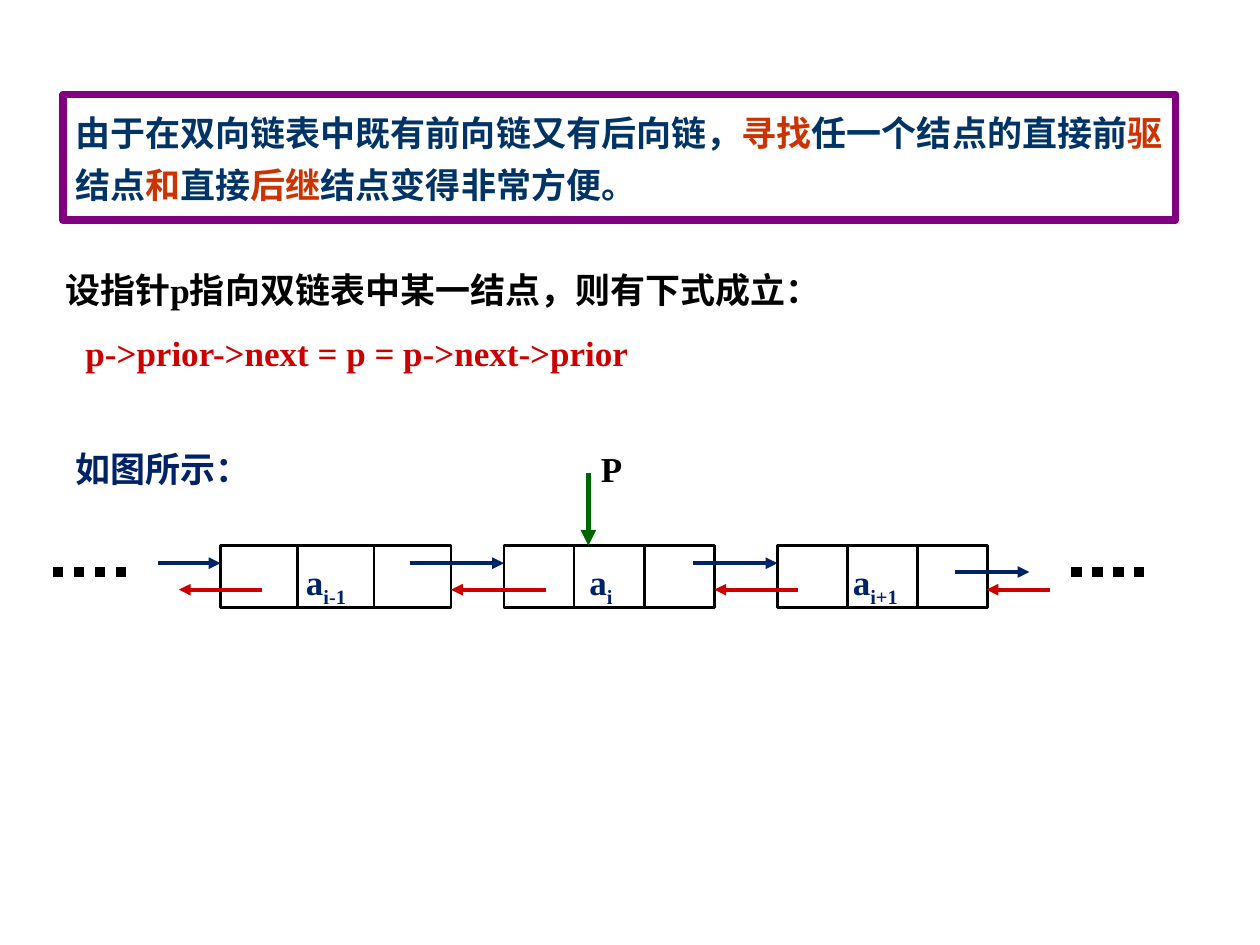
from dataclasses import dataclass

from lxml import etree
from pptx import Presentation
from pptx import util as u
from pptx.dml.color import RGBColor
from pptx.enum import dml, shapes, text
from pptx.oxml import ns


@dataclass(frozen=True)
class Theme:
    font: str = "Times New Roman"
    size: int = 20
    black: str = "000000"
    navy: str = "002368"
    blue: str = "003366"
    orange: str = "CC3300"
    red: str = "CC0000"
    green: str = "006600"
    purple: str = "800080"
    thin: float = 1.5
    arrow: float = 2.25
    pointer: float = 3
    frame: float = 4.5
    dots: float = 6


THEME = Theme()
NODE_TOP, NODE_HEIGHT = 4.33, 0.49
NEXT_Y, PRIOR_Y, MIDDLE_Y = 4.47, 4.68, 4.54


def write(shape, spans, spacing=None, wrap=True):
    frame = shape.text_frame
    frame.word_wrap = wrap
    frame.auto_size = text.MSO_AUTO_SIZE.SHAPE_TO_FIT_TEXT
    frame.vertical_anchor = text.MSO_ANCHOR.TOP
    para = frame.paragraphs[0]
    para.alignment = text.PP_ALIGN.LEFT
    if spacing:
        para.line_spacing = spacing
    for words, color in spans:
        span = para.add_run()
        span.text = words
        span.font.name = THEME.font
        span.font.size = u.Pt(THEME.size)
        span.font.bold = True
        span.font.color.rgb = RGBColor.from_string(color)
    return para


def add_label(parent, bounds, words, color, **options):
    box = parent.shapes.add_textbox(*map(u.Inches, bounds))
    return write(box, [(words, color)], **options)


def add_frame(parent, bounds, color, width):
    box = parent.shapes.add_shape(shapes.MSO_SHAPE.RECTANGLE, *map(u.Inches, bounds))
    box.shadow.inherit = False
    box.fill.background()
    box.line.color.rgb = RGBColor.from_string(color)
    box.line.width = u.Pt(width)
    return box


def add_line(parent, start, end, color, width):
    line = parent.shapes.add_connector(
        shapes.MSO_CONNECTOR.STRAIGHT, *map(u.Inches, (*start, *end)))
    line.line.color.rgb = RGBColor.from_string(color)
    line.line.width = u.Pt(width)
    etree.SubElement(line._element.spPr, ns.qn("a:effectLst"))
    return line


def add_arrow(parent, start, end, color, width=THEME.arrow):
    arrow = add_line(parent, start, end, color, width)
    tail = etree.SubElement(arrow.line._get_or_add_ln(), ns.qn("a:tailEnd"))
    tail.set("type", "triangle")


def add_dots(parent, left, right):
    dots = add_line(parent, (left, MIDDLE_Y), (right, MIDDLE_Y), THEME.black, THEME.dots)
    dots.line.dash_style = dml.MSO_LINE.ROUND_DOT


def add_node(parent, left, width, label_left, label_width, subscript):
    add_frame(parent, (left, NODE_TOP, width, NODE_HEIGHT), THEME.black, THEME.thin)
    for part in (1, 2):
        x = left + width * part / 3
        add_line(parent, (x, NODE_TOP), (x, NODE_TOP + NODE_HEIGHT), THEME.black, THEME.thin)
    box = parent.shapes.add_textbox(*map(u.Inches, (label_left, 4.4, label_width, 0.43)))
    para = write(box, [("a", THEME.navy), (subscript, THEME.navy)])
    para.runs[1].font._element.set("baseline", "-25000")


def add_list_diagram(page):
    group = page.shapes.add_group_shape()
    for node in (
        (1.75, 1.83, 2.33, 0.58, "i-1"),
        (4, 1.67, 4.58, 0.5, "i"),
        (6.17, 1.67, 6.67, 0.67, "i+1"),
    ):
        add_node(group, *node)
    for start, end, y in (
        (1.25, 1.75, NEXT_Y), (3.25, 4, NEXT_Y), (5.5, 6.17, NEXT_Y), (7.58, 8.17, MIDDLE_Y),
    ):
        add_arrow(group, (start, y), (end, y), THEME.navy)
    for start, end in ((2.08, 1.42), (4.33, 3.58), (6.33, 5.67), (8.33, 7.83)):
        add_arrow(group, (start, PRIOR_Y), (end, PRIOR_Y), THEME.red)
    add_dots(group, 0.42, 1)
    add_dots(group, 8.5, 9.08)
    add_arrow(group, (4.67, 3.75), (4.67, NODE_TOP), THEME.green, THEME.pointer)
    add_label(group, (4.67, 3.5, 0.5, 0.43), "P", THEME.black)


def main():
    deck = Presentation()
    deck.slide_width, deck.slide_height = u.Inches(10), u.Inches(7.5)
    page = deck.slides.add_slide(deck.slide_layouts[6])
    add_label(page, (0.58, 2.58, 4.83, 0.43), "p->prior->next = p = p->next->prior", THEME.red)
    add_label(page, (0.42, 2, 6.23, 0.52), "设指针p指向双链表中某一结点，则有下式成立：",
              THEME.black, spacing=1.25, wrap=False)
    summary = add_frame(page, (0.5, 0.75, 8.83, 1), THEME.purple, THEME.frame)
    write(summary, [
        ("由于在双向链表中既有前向链又有后向链，", THEME.blue),
        ("寻找", THEME.orange),
        ("任一个结点的直接前", THEME.blue),
        ("驱", THEME.orange),
        ("结点", THEME.blue),
        ("和", THEME.orange),
        ("直接", THEME.blue),
        ("后继", THEME.orange),
        ("结点变得非常方便。", THEME.blue),
    ], spacing=1.25)
    add_list_diagram(page)
    add_label(page, (0.5, 3.5, 1.42, 0.43), "如图所示：", THEME.navy)
    deck.save("out.pptx")


if __name__ == "__main__":
    main()
